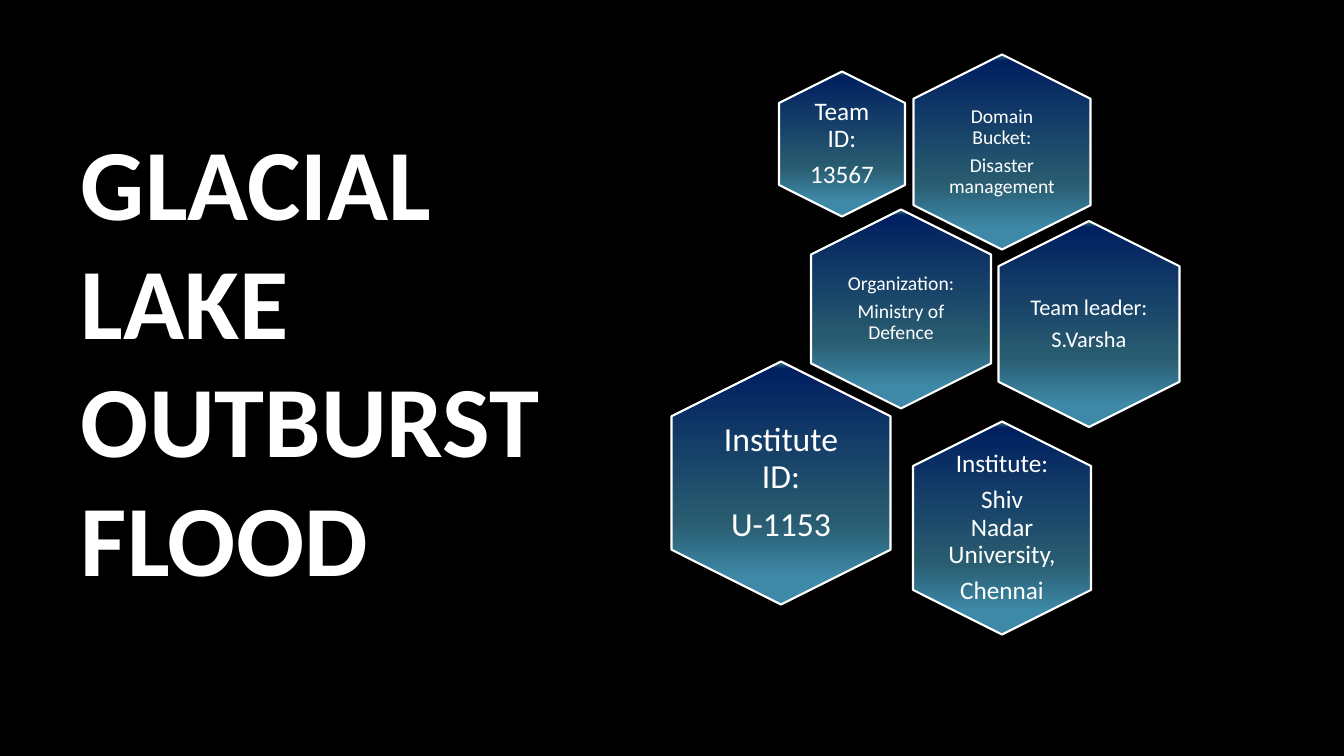
"""Build the title slide of a glacial lake outburst flood project with a hexagon cluster."""
from lxml.etree import SubElement
from pptx import Presentation
from pptx.dml.color import RGBColor
from pptx.enum.shapes import MSO_SHAPE
from pptx.enum.text import MSO_ANCHOR, PP_ALIGN
from pptx.oxml.ns import qn
from pptx.util import Emu, Pt

COLORS = {"background": "000000", "white": "FFFFFF", "navy": "002060", "teal": "295C70", "sky": "3E89A8"}
FONT = "Calibri"
TITLE = "GLACIAL LAKE OUTBURST FLOOD"
TITLE_BOX = (71, 395, 496, 210)
GRADIENT = [(1, "teal"), (3, "navy"), (66, "teal"), (89, "sky")]

# Center, hexagon height and width, label width and height, inset, text size, lines
HEXAGONS = [
    ((1002, 152), (195, 177), (121, 132), 6, 14, ["Domain Bucket:", "Disaster management"]),
    ((842, 144), (145, 126), (87, 100), 0, 18, ["Team ID:", "13567"]),
    ((901, 309), (199, 180), (123, 136), 6, 14, ["Organization:", "Ministry of Defence"]),
    ((1089, 324), (206, 181), (125, 141), 0, 16, ["Team leader:", "S.Varsha"]),
    ((1002, 528), (213, 178), (124, 147), 7, 18, ["Institute:", "Shiv Nadar University,", "Chennai"]),
    ((781, 483), (243, 219), (149, 166), 0, 24, ["Institute ID:", "U-1153"]),
]


def px(length):
    return Emu(round(length * 914400 / 100.8))


def color(name):
    return RGBColor.from_string(COLORS[name])


def centered(center, size):
    (x, y), (width, height) = center, size
    return [px(n) for n in (x - width / 2, y - height / 2, width, height)]


def add_words(paragraph, words, size, bold=False):
    run = paragraph.add_run()
    run.text = words
    run.font.name, run.font.size, run.font.bold = FONT, Pt(size), bold
    run.font.color.rgb = color("white")


def add_hexagon(slide, center, size):
    hexagon = slide.shapes.add_shape(MSO_SHAPE.HEXAGON, *centered(center, size))
    hexagon.rotation = 90
    hexagon.shadow.inherit = False
    hexagon.line.color.rgb = color("white")
    hexagon.line.width = Pt(1.5)
    hexagon.fill.gradient()
    gradient = hexagon.fill._xPr.find(qn("a:gradFill"))
    gradient.set("rotWithShape", "0")
    for child in list(gradient):
        gradient.remove(child)
    stops = SubElement(gradient, qn("a:gsLst"))
    for percent, name in GRADIENT:
        stop = SubElement(stops, qn("a:gs"), pos=str(percent * 1000))
        SubElement(stop, qn("a:srgbClr"), val=COLORS[name])
    SubElement(gradient, qn("a:lin"), ang="5400000", scaled="0")


def add_label(slide, center, size, inset, text_size, lines):
    frame = slide.shapes.add_textbox(*centered(center, size)).text_frame
    frame.word_wrap = True
    frame.vertical_anchor = MSO_ANCHOR.MIDDLE
    frame.margin_left = frame.margin_right = frame.margin_top = frame.margin_bottom = px(inset)
    for index, line in enumerate(lines):
        paragraph = frame.add_paragraph() if index else frame.paragraphs[0]
        paragraph.alignment = PP_ALIGN.CENTER
        paragraph.line_spacing = 0.9
        paragraph.space_after = Pt(text_size * 0.35)
        add_words(paragraph, line, text_size)


def add_title(slide):
    frame = slide.shapes.add_textbox(*[px(n) for n in TITLE_BOX]).text_frame
    frame.word_wrap = True
    frame.vertical_anchor = MSO_ANCHOR.BOTTOM
    frame.paragraphs[0].line_spacing = 0.98
    add_words(frame.paragraphs[0], TITLE, 72, bold=True)


def main():
    deck = Presentation()
    deck.slide_width, deck.slide_height = px(1344), px(756)
    slide = deck.slides.add_slide(deck.slide_layouts[6])
    slide.background.fill.solid()
    slide.background.fill.fore_color.rgb = color("background")
    add_title(slide)
    for center, outline, label, inset, text_size, lines in HEXAGONS:
        add_hexagon(slide, center, outline)
        add_label(slide, center, label, inset, text_size, lines)
    deck.save("out.pptx")


if __name__ == "__main__":
    main()
